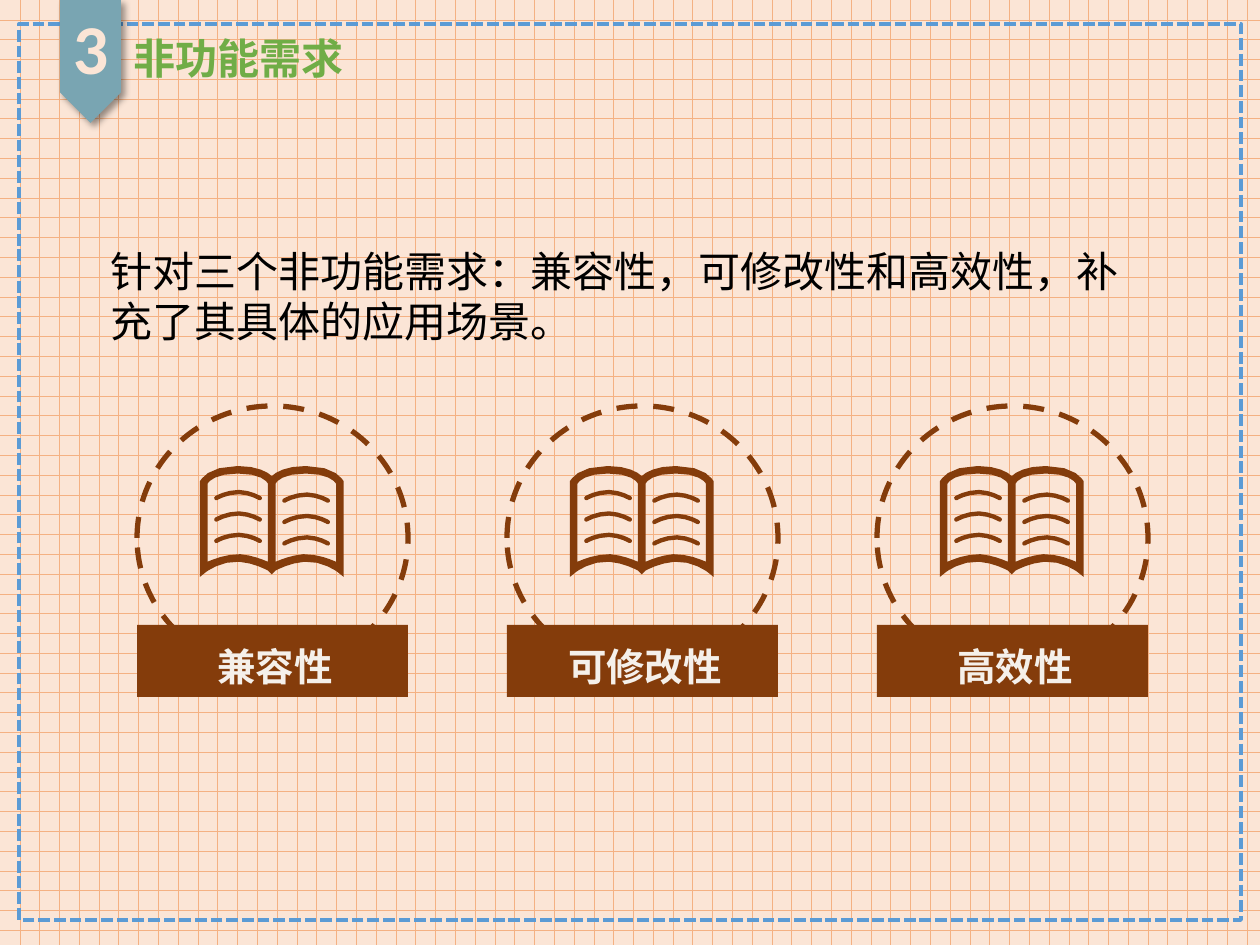
from lxml import etree
from pptx import Presentation
from pptx.dml.color import RGBColor
from pptx.enum.dml import MSO_LINE, MSO_PATTERN
from pptx.enum.shapes import MSO_SHAPE as Shape
from pptx.enum.text import MSO_ANCHOR as Anchor, PP_ALIGN as Align
from pptx.oxml import parse_xml
from pptx.oxml.ns import nsdecls, qn
from pptx.util import Pt

PX = 914400 / 126
BOOK_UNIT = 9144  # a hundredth of an inch

GRID = RGBColor(0xF4, 0xB1, 0x83)
PEACH = RGBColor(0xFB, 0xE5, 0xD6)
BLUE = RGBColor(0x5B, 0x9B, 0xD5)
TEAL = RGBColor(0x79, 0xA5, 0xB2)
GREEN = RGBColor(0x70, 0xAD, 0x47)
BROWN = RGBColor(0x84, 0x3C, 0x0B)
IVORY = RGBColor(0xF5, 0xF0, 0xEA)
BLACK = RGBColor(0, 0, 0)
CJK_FONT = "Noto Sans CJK SC"

NUMBER = "3"
TITLE = "非功能需求"
SUMMARY = "针对三个非功能需求：兼容性，可修改性和高效性，补充了其具体的应用场景。"
REQUIREMENTS = ["兼容性", "可修改性", "高效性"]
FIRST_LEFT, COLUMN_STEP, COLUMN_WIDTH = 137, 370, 271

# Outlines in book units: two numbers are a line, six a cubic curve.
BOOK_WIDTH = 114
COVER_HALF = [(57, 86), (54, 83), (52, 82, 43, 77, 31, 76), (17, 75, 5, 84, 5, 84),
              (0, 88), (0, 12), (1, 11, 6, 0, 30, 0), (46, 0, 54, 5, 57, 8)]
LEFT_PAGE = [(54, 76), (49, 74, 42, 71, 32, 70), (20, 70, 11, 74, 6, 76),
             (6, 14), (7, 12, 13, 6, 30, 6), (48, 6, 53, 12, 54, 14)]
TEXT_STROKE = [(2, 6.5), (2, 6.5, 10, 1.7, 20, 1.7), (29, 2, 36.5, 6.5, 36.5, 6.5)]
STROKE_STARTS = [(11, 19), (65, 21)]
STROKE_STEP, STROKES_PER_PAGE, STROKE_WIDTH = 17, 3, 2.5


def px(*lengths):
    return [round(length * PX) for length in lengths]


def set_fill(shape, color):
    shape.shadow.inherit = False
    if color is None:
        shape.fill.background()
    else:
        shape.fill.solid()
        shape.fill.fore_color.rgb = color


def set_line(shape, color, width=0, dash=None):
    if color is None:
        shape.line.fill.background()
    else:
        shape.line.color.rgb = color
        shape.line.width = Pt(width)
        shape.line.dash_style = dash


def add_shape(page, kind, at, fill=None, line=None, width=0, dash=None):
    shape = page.shapes.add_shape(kind, *px(*at))
    set_fill(shape, fill)
    set_line(shape, line, width, dash)
    return shape


def add_text(page, text, at, size, color, font="Calibri", bold=True,
             align=Align.LEFT, anchor=Anchor.TOP):
    box = page.shapes.add_textbox(*px(*at))
    frame = box.text_frame
    frame.word_wrap = True
    frame.vertical_anchor = anchor
    frame.text = text
    para = frame.paragraphs[0]
    para.alignment = align
    span = para.runs[0]
    span.font.name = font
    span.font.size = Pt(size)
    span.font.bold = bold
    span.font.color.rgb = color
    etree.SubElement(span.font._element, qn("a:ea"), typeface=CJK_FONT)
    return para


def add_heading(page, *args, **options):
    para = add_text(page, *args, anchor=Anchor.MIDDLE, **options)
    para.line_spacing = 0.9
    para.space_before = Pt(10)


def add_drop_shadow(shape):
    effects = shape._element.spPr.find(qn("a:effectLst"))
    effects.append(parse_xml(
        f'<a:outerShdw {nsdecls("a")} blurRad="{Pt(4)}" dist="{Pt(3)}" dir="2700000" '
        'algn="tl" rotWithShape="0"><a:srgbClr val="000000"><a:alpha val="40000"/>'
        '</a:srgbClr></a:outerShdw>'))


def flatten(outline, steps=4):
    """Turn lines and cubic curves into a list of points."""
    points = [outline[0]]
    for segment in outline[1:]:
        if len(segment) == 2:
            points.append(segment)
            continue
        xs = (points[-1][0], *segment[0::2])
        ys = (points[-1][1], *segment[1::2])
        for step in range(1, steps + 1):
            t = step / steps
            weights = ((1 - t) ** 3, 3 * t * (1 - t) ** 2, 3 * t * t * (1 - t), t ** 3)
            points.append(tuple(sum(w * v for w, v in zip(weights, values))
                                for values in (xs, ys)))
    return points


def mirror(points):
    return [(BOOK_WIDTH - x, y) for x, y in reversed(points)]


def add_outline(group, contours, left, top, close=True):
    scaled = [[(left + x * BOOK_UNIT, top + y * BOOK_UNIT) for x, y in contour]
              for contour in contours]
    builder = group.shapes.build_freeform(*scaled[0][0])
    for index, contour in enumerate(scaled):
        if index:
            builder.move_to(*contour[0])
        builder.add_line_segments(contour[1:], close=close)
    return builder.convert_to_shape()


def add_book(page, left, top):
    left, top = px(left, top)
    group = page.shapes.add_group_shape()
    half, leaf, stroke = map(flatten, (COVER_HALF, LEFT_PAGE, TEXT_STROKE))
    cover = add_outline(group, [half + mirror(half)[1:-1], leaf, mirror(leaf)], left, top)
    set_fill(cover, BROWN)
    set_line(cover, None)
    for x, y in STROKE_STARTS:
        for row in range(STROKES_PER_PAGE):
            line = add_outline(group, [stroke], left + x * BOOK_UNIT,
                               top + (y + row * STROKE_STEP) * BOOK_UNIT, close=False)
            set_fill(line, None)
            set_line(line, BROWN, STROKE_WIDTH)
            line._element.spPr.find(qn("a:ln")).set("cap", "rnd")


def add_requirement(page, name, left):
    add_shape(page, Shape.OVAL, (left, 406, COLUMN_WIDTH, 264),
              line=BROWN, width=3, dash=MSO_LINE.DASH)
    add_shape(page, Shape.RECTANGLE, (left, 625, COLUMN_WIDTH, 72), fill=BROWN)
    label_width = 28 + 40 * len(name)
    label_left = left + (COLUMN_WIDTH - label_width) // 2 + 3
    add_text(page, name, (label_left, 637, label_width, 59), 22, IVORY, align=Align.CENTER)
    add_book(page, left + 63, 466)


def main():
    deck = Presentation()
    deck.slide_width, deck.slide_height = px(1260, 945)
    page = deck.slides.add_slide(deck.slide_layouts[6])

    backdrop = page.background.fill
    backdrop.patterned()
    backdrop.pattern = MSO_PATTERN.DOTTED_GRID
    backdrop.fore_color.rgb = GRID
    backdrop.back_color.rgb = PEACH

    add_shape(page, Shape.RECTANGLE, (19, 24, 1222, 896),
              line=BLUE, width=2.25, dash=MSO_LINE.SQUARE_DOT)
    ribbon = add_shape(page, Shape.PENTAGON, (29, 31, 123, 61), fill=TEAL)
    ribbon.rotation = 90
    add_drop_shadow(ribbon)
    add_heading(page, NUMBER, (60, 0, 61, 103), 40, PEACH, align=Align.CENTER)
    add_heading(page, TITLE, (121, 29, 435, 64), 24, GREEN)
    add_text(page, SUMMARY, (98, 239, 1048, 115), 24, BLACK, font=CJK_FONT, bold=False)

    for column, name in enumerate(REQUIREMENTS):
        add_requirement(page, name, FIRST_LEFT + column * COLUMN_STEP)
    deck.save("out.pptx")


if __name__ == "__main__":
    main()
